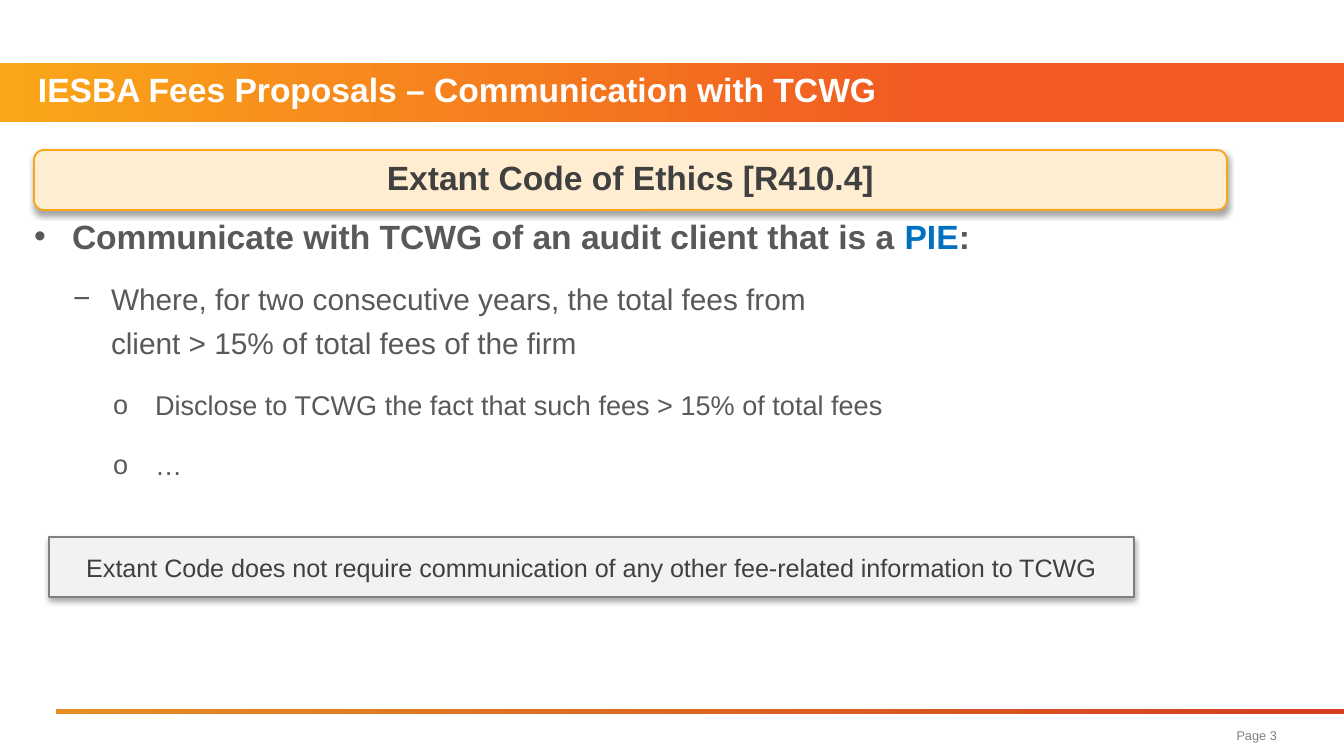
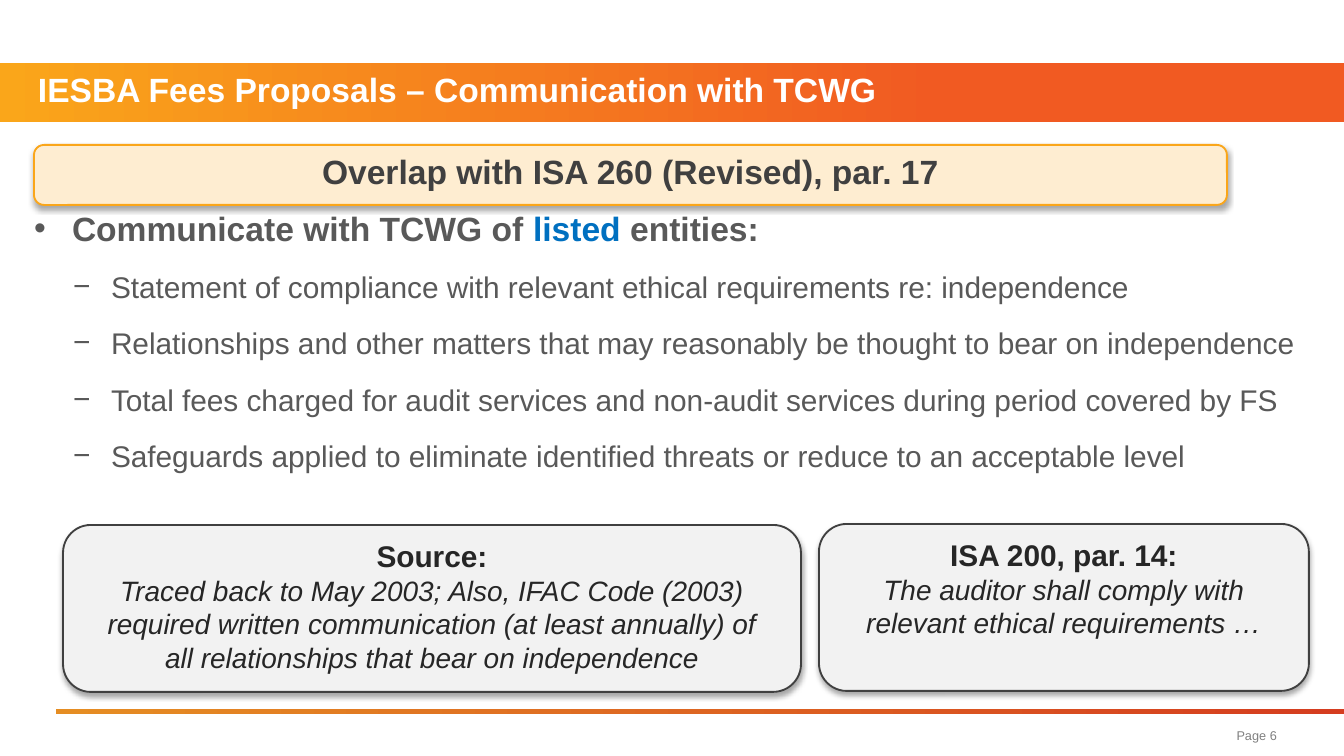
from lxml import etree
from pptx import Presentation
from pptx import util as u
from pptx.dml.color import RGBColor
from pptx.enum import shapes, text
from pptx.oxml.ns import qn

# Content: a span is (text, colour); lengths are px
FONT = "Arial"
TITLE = "IESBA Fees Proposals – Communication with TCWG"
BODY_GREY, BLUE = "595959", "0070C0"
PAGES = [
    {
        "number": "Page 3",
        "headline": ("Extant Code of Ethics [R410.4]", 150),
        "body_at": (34, 160, 1243, 534),
        "dash_pitch": 24,
        "body": [
            ("bullet", [("Communicate with TCWG of an audit client that is a ", BODY_GREY),
                        ("PIE", BLUE), (":", BODY_GREY)]),
            ("dash", [("Where, for two consecutive years, the total fees from\n"
                       "client > 15% of total fees of the firm", BODY_GREY)]),
            ("circle", [("Disclose to TCWG the fact that such fees > 15% of total fees", BODY_GREY)]),
            ("circle", [("…", BODY_GREY)]),
        ],
        "note": ("Extant Code does not require communication of any other "
                 "fee-related information to TCWG", (49, 537, 1085, 60)),
        "cards": [],
    },
    {
        "number": "Page 6",
        "headline": ("Overlap with ISA 260 (Revised), par. 17", 145),
        "body_at": (34, 152, 1293, 566),
        "dash_pitch": 22,
        "body": [
            ("bullet", [("Communicate with TCWG of ", BODY_GREY),
                        ("listed", BLUE), (" entities:", BODY_GREY)]),
            ("dash", [("Statement of compliance with relevant ethical requirements "
                       "re: independence", BODY_GREY)]),
            ("dash", [("Relationships and other matters that may reasonably be thought "
                       "to bear on independence", BODY_GREY)]),
            ("dash", [("Total fees charged for audit services and non-audit services "
                       "during period covered by FS", BODY_GREY)]),
            ("dash", [("Safeguards applied to eliminate identified threats or reduce "
                       "to an acceptable level", BODY_GREY)]),
        ],
        "note": None,
        "cards": [
            ("Source:", "Traced back to May 2003; Also, IFAC Code (2003) required written "
             "communication (at least annually) of\nall relationships that bear on independence",
             (63, 525, 738, 167)),
            ("ISA 200, par. 14:", "The auditor shall comply with relevant ethical requirements …",
             (819, 524, 490, 167)),
        ],
    },
]
# List style: level, mark, text left, hanging indent, size, bold
LIST_STYLES = {
    "bullet": (0, "•", 38, 38, 18, True),
    "dash": (1, "−", 77, 38, 16, False),
    "circle": (2, "o", 121, 42, 14.5, False),
}
BODY_TOP_INSET = 51


# Helpers
def px(length):
    return u.Emu(round(length * 914400 / 134.4))


def colour(value):
    return RGBColor.from_string(value)


def place(shape, at):
    shape.left, shape.top, shape.width, shape.height = map(px, at)


def prepare_frame(shape, anchor, inset=None):
    frame = shape.text_frame
    frame.word_wrap = True
    frame.auto_size = text.MSO_AUTO_SIZE.NONE
    frame.vertical_anchor = anchor
    if inset is not None:
        frame.margin_left = frame.margin_top = px(inset)
        frame.margin_right = frame.margin_bottom = px(inset)
    return frame


def add_text(para, words, size, tint, bold=False, italic=False):
    for index, line in enumerate(words.split("\n")):
        if index:
            para.add_line_break()
        span = para.add_run()
        span.text = line
        font = span.font
        font.name, font.size = FONT, u.Pt(size)
        font.bold, font.italic = bold, italic
        font.color.rgb = colour(tint)


def set_spacing(para, pitch, before=0, after=0):
    para.line_spacing = u.Pt(pitch)
    para.space_before, para.space_after = u.Pt(before), u.Pt(after)


def set_indent(para, left, hanging=0):
    props = para._p.get_or_add_pPr()
    props.set("marL", str(px(left)))
    props.set("indent", str(-px(hanging)))
    return props


def add_gradient_bar(page, at, stops):
    bar = page.shapes.add_shape(shapes.MSO_SHAPE.RECTANGLE, *map(px, at))
    bar.shadow.inherit = False
    bar.line.fill.background()
    bar.fill.gradient()
    bar.fill.gradient_angle = 0
    for stop, (position, tint) in zip(bar.fill.gradient_stops, stops):
        stop.position, stop.color.rgb = position, colour(tint)
    return bar


def add_box(page, kind, at, fill, line, width, anchor):
    box = page.shapes.add_shape(kind, *map(px, at))
    box.fill.solid()
    box.fill.fore_color.rgb = colour(fill)
    box.line.color.rgb = colour(line)
    box.line.width = u.Pt(width)
    box.shadow.inherit = False
    effects = box.element.spPr.find(qn("a:effectLst"))
    shade = etree.SubElement(effects, qn("a:outerShdw"), blurRad=str(u.Pt(3.1)),
                             dist=str(u.Pt(1.8)), dir="5400000", rotWithShape="0")
    black = etree.SubElement(shade, qn("a:srgbClr"), val="000000")
    etree.SubElement(black, qn("a:alpha"), val="35000")
    return prepare_frame(box, anchor)


def centred(para, pitch=None):
    para.alignment = text.PP_ALIGN.CENTER
    if pitch:
        set_spacing(para, pitch)
    return para


# Parts of a page
def decorate_layout(layout, page):
    bars = [
        add_gradient_bar(page, (0, 63, 1344, 59), [(0, "FAA61A"), (0.7, "F15A22")]),
        add_gradient_bar(page, (56, 709, 1288, 5), [(0, "E58D23"), (1, "D53D20")]),
    ]
    for bar in bars:
        layout.placeholders[0].element.addprevious(bar.element)


def fill_title(page):
    place(page.shapes.title, (0, 63, 1344, 59))
    para = prepare_frame(page.shapes.title, text.MSO_ANCHOR.MIDDLE, 0).paragraphs[0]
    para.alignment = text.PP_ALIGN.LEFT
    set_spacing(para, 18, after=2.2)
    set_indent(para, 38)
    add_text(para, TITLE, 18, "FFFFFF", bold=True)


def add_page_number(page, number):
    box = page.shapes.add_textbox(*map(px, (1047, 718, 230, 34)))
    para = prepare_frame(box, text.MSO_ANCHOR.MIDDLE, 0).paragraphs[0]
    para.alignment = text.PP_ALIGN.RIGHT
    add_text(para, number, 6.8, "808080")


def fill_body(page, content):
    body = page.placeholders[1]
    place(body, content["body_at"])
    frame = prepare_frame(body, text.MSO_ANCHOR.TOP, 0)
    frame.margin_top = px(BODY_TOP_INSET)
    for index, (style, spans) in enumerate(content["body"]):
        level, mark, left, hanging, size, bold = LIST_STYLES[style]
        para = frame.add_paragraph() if index else frame.paragraphs[0]
        para.level = level
        para.alignment = text.PP_ALIGN.LEFT
        pitch = content["dash_pitch"] if style == "dash" else 24
        set_spacing(para, pitch, before=6 if index else 0, after=2.2)
        props = set_indent(para, left, hanging)
        etree.SubElement(props, qn("a:buFont"), typeface=FONT)
        etree.SubElement(props, qn("a:buChar"), char=mark)
        for words, tint in spans:
            add_text(para, words, size, tint, bold)


def add_boxes(page, content):
    rounded = shapes.MSO_SHAPE.ROUNDED_RECTANGLE
    headline, top = content["headline"]
    frame = add_box(page, rounded, (34, top, 1193, 60), "FEEDD1", "FAA61A", 1,
                    text.MSO_ANCHOR.MIDDLE)
    add_text(centred(frame.paragraphs[0], 18), headline, 18, "404040", bold=True)
    if content["note"]:
        note, at = content["note"]
        frame = add_box(page, shapes.MSO_SHAPE.RECTANGLE, at, "F2F2F2", "808080", 0.75,
                        text.MSO_ANCHOR.MIDDLE)
        add_text(centred(frame.paragraphs[0]), note, 13.5, "404040")
    for heading, detail, at in content["cards"]:
        frame = add_box(page, rounded, at, "F2F2F2", "404040", 1, text.MSO_ANCHOR.TOP)
        add_text(centred(frame.paragraphs[0], 18), heading, 16, "262626", bold=True)
        add_text(centred(frame.add_paragraph(), 18), detail, 15, "262626", italic=True)


def main():
    deck = Presentation()
    deck.slide_width, deck.slide_height = px(1344), px(756)
    layout = deck.slide_layouts[1]
    for index, content in enumerate(PAGES):
        page = deck.slides.add_slide(layout)
        if index == 0:
            decorate_layout(layout, page)
        fill_title(page)
        fill_body(page, content)
        add_page_number(page, content["number"])
        add_boxes(page, content)
    deck.save("out.pptx")


if __name__ == "__main__":
    main()
